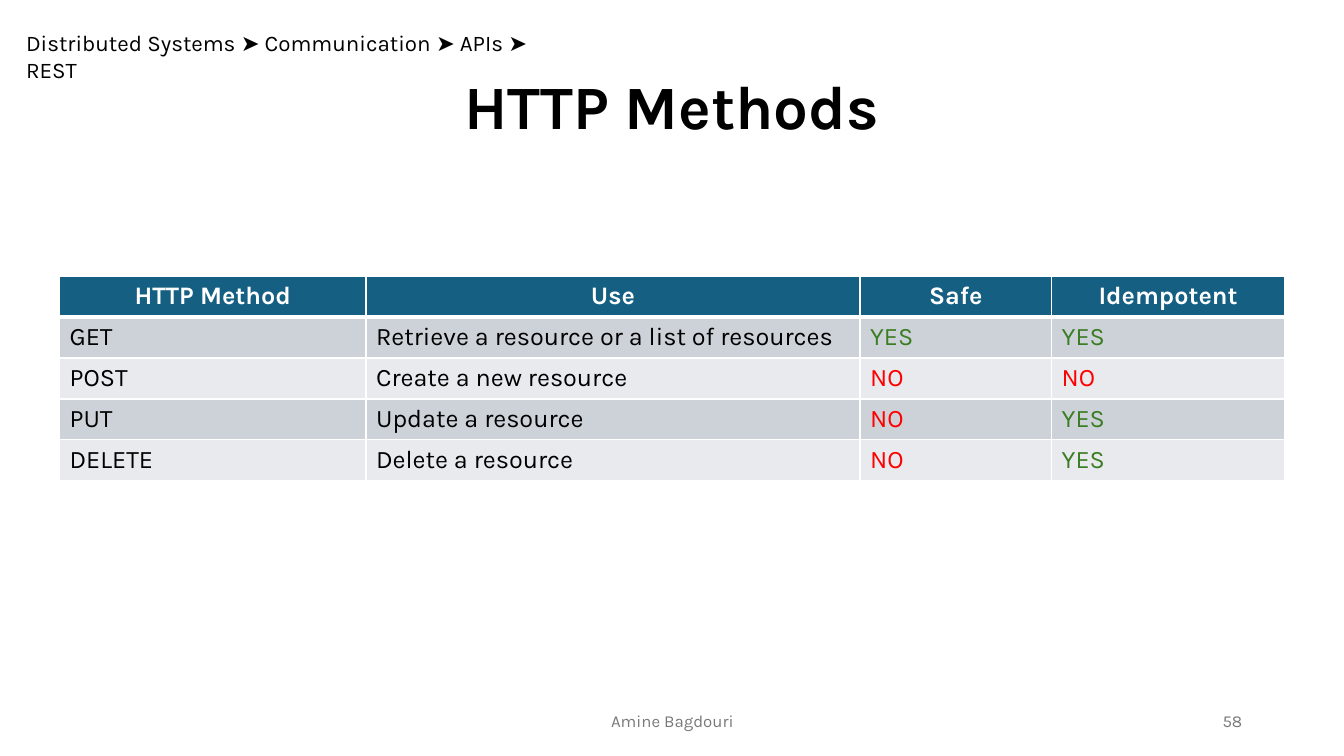
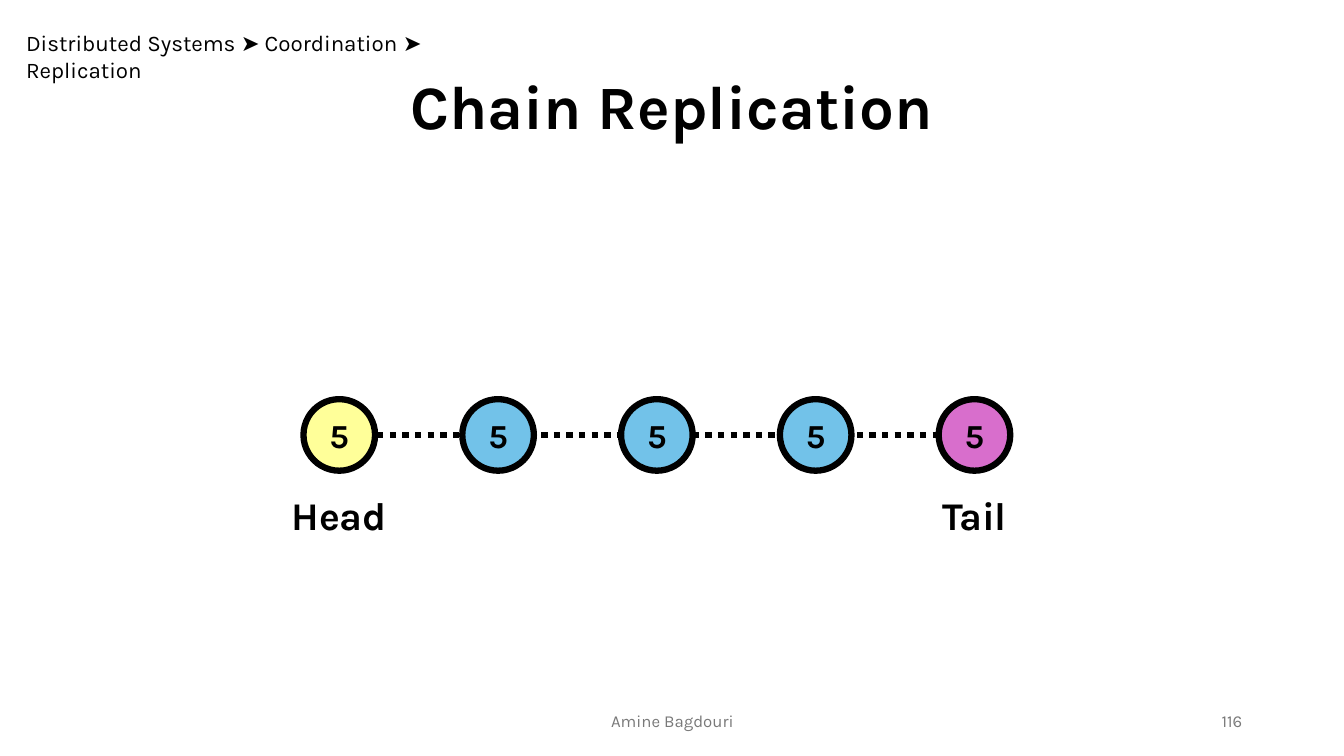
import dataclasses

import pptx
import pptx.dml.color
import pptx.enum.dml
import pptx.enum.shapes
import pptx.enum.text
import pptx.oxml.ns
import pptx.util
from lxml import etree

Inches = pptx.util.Inches
Alignment = pptx.enum.text.PP_ALIGN
Anchor = pptx.enum.text.MSO_ANCHOR


@dataclasses.dataclass(frozen=True)
class Theme:
    font: str = "Karla"
    black: str = "000000"
    white: str = "FFFFFF"
    gray: str = "797979"
    header: str = "156082"
    bands: tuple = ("CCD2D8", "E8EAED")
    yes: str = "3B7D23"
    no: str = "FF0000"
    head: str = "FFFF99"
    middle: str = "72C2E9"
    tail: str = "D86ECC"
    title_size: float = 44
    label_size: float = 28
    node_size: float = 24
    table_size: float = 18
    breadcrumb_size: float = 16
    footer_size: float = 12
    node_line: float = 4.5


THEME = Theme()
SLIDE_WIDTH, SLIDE_HEIGHT = 13.33, 7.5
TITLE_ONLY_LAYOUT = 5
AUTHOR = "Amine Bagdouri"


def rgb(color):
    return pptx.dml.color.RGBColor.from_string(color)


def write(frame, text, size, color=THEME.black, bold=False, alignment=Alignment.LEFT):
    frame.text = text
    paragraph = frame.paragraphs[0]
    paragraph.alignment = alignment
    paragraph.font.name = THEME.font
    paragraph.font.size = pptx.util.Pt(size)
    paragraph.font.bold = bold
    paragraph.font.color.rgb = rgb(color)


def add_text(slide, box, text, size, anchor=Anchor.TOP, **style):
    """Add a wrapping text box; box is left, top, width, height in inches."""
    frame = slide.shapes.add_textbox(*map(Inches, box)).text_frame
    frame.word_wrap = True
    frame.vertical_anchor = anchor
    write(frame, text, size, **style)


def add_title(slide, box, text):
    title = slide.shapes.title
    title.left, title.top, title.width, title.height = map(Inches, box)
    frame = title.text_frame
    frame.auto_size = pptx.enum.text.MSO_AUTO_SIZE.NONE
    frame.vertical_anchor = Anchor.TOP
    write(frame, text, THEME.title_size, bold=True, alignment=Alignment.CENTER)


def add_footer(slide, box, number):
    """Place the author in the middle and the slide number at the right of the box."""
    left, top, width, height = box
    author_width, number_width = 4.5, 3
    parts = (
        (left, author_width, AUTHOR, Alignment.CENTER),
        (left + width - number_width, number_width, str(number), Alignment.RIGHT),
    )
    for part_left, part_width, text, alignment in parts:
        add_text(slide, (part_left, top, part_width, height), text, THEME.footer_size,
                 anchor=Anchor.MIDDLE, color=THEME.gray, alignment=alignment)


def add_base_slide(presentation, title, breadcrumb, breadcrumb_width, number):
    slide = presentation.slides.add_slide(presentation.slide_layouts[TITLE_ONLY_LAYOUT])
    add_title(slide, (0, 0.62, SLIDE_WIDTH, 0.84), title)
    add_text(slide, (0.16, 0.24, breadcrumb_width, 0.37), breadcrumb, THEME.breadcrumb_size)
    add_footer(slide, (4.42, 6.95, 8, 0.4), number)
    return slide


def set_borders(cell, widths):
    """Draw white cell borders; widths maps the sides L, R, T, B to points."""
    properties = cell._tc.get_or_add_tcPr()
    qn = pptx.oxml.ns.qn
    for side, width in widths.items():
        line = etree.SubElement(properties, qn(f"a:ln{side}"), w=str(pptx.util.Pt(width)))
        fill = etree.SubElement(line, qn("a:solidFill"))
        etree.SubElement(fill, qn("a:srgbClr"), val=THEME.white)


def add_method_table(slide, box, column_widths, rows):
    shape = slide.shapes.add_table(len(rows), len(column_widths), *map(Inches, box))
    table = shape.table
    for column, width in zip(table.columns, column_widths):
        column.width = Inches(width)
    answer_colors = {"YES": THEME.yes, "NO": THEME.no}
    for row_index, values in enumerate(rows):
        table.rows[row_index].height = Inches(box[3] / len(rows))
        is_header = row_index == 0
        for column_index, text in enumerate(values):
            cell = table.cell(row_index, column_index)
            set_borders(cell, {"L": 1, "R": 1, "T": 3 if row_index == 1 else 1,
                               "B": 3 if is_header else 1})
            cell.fill.solid()
            if is_header:
                cell.fill.fore_color.rgb = rgb(THEME.header)
                write(cell.text_frame, text, THEME.table_size, THEME.white,
                      bold=True, alignment=Alignment.CENTER)
            else:
                cell.fill.fore_color.rgb = rgb(THEME.bands[(row_index - 1) % 2])
                write(cell.text_frame, text, THEME.table_size,
                      answer_colors.get(text, THEME.black))


def add_chain_link(slide, start, end, y):
    link = slide.shapes.add_connector(
        pptx.enum.shapes.MSO_CONNECTOR.STRAIGHT, *map(Inches, (start, y, end, y)))
    link.line.color.rgb = rgb(THEME.black)
    link.line.width = pptx.util.Pt(THEME.node_line)
    link.line.dash_style = pptx.enum.dml.MSO_LINE.ROUND_DOT
    etree.SubElement(link._element.spPr, pptx.oxml.ns.qn("a:effectLst"))


def add_node(slide, box, text, color):
    node = slide.shapes.add_shape(pptx.enum.shapes.MSO_SHAPE.OVAL, *map(Inches, box))
    node.shadow.inherit = False
    node.fill.solid()
    node.fill.fore_color.rgb = rgb(color)
    node.line.color.rgb = rgb(THEME.black)
    node.line.width = pptx.util.Pt(THEME.node_line)
    write(node.text_frame, text, THEME.node_size, bold=True, alignment=Alignment.CENTER)


def add_chain(slide, box, nodes):
    """Spread (text, colour, label) nodes over the box, with labels under it."""
    left, top, width, diameter = box
    label_width, label_height, label_gap = 1.39, 0.57, 0.16
    radius = diameter / 2
    step = (width - diameter) / (len(nodes) - 1)
    add_chain_link(slide, left + radius, left + width - radius, top + radius)
    for index, (text, color, label) in enumerate(nodes):
        node_left = left + index * step
        add_node(slide, (node_left, top, diameter, diameter), text, color)
        if label:
            label_left = node_left + radius - label_width / 2
            add_text(slide, (label_left, top + diameter + label_gap, label_width, label_height),
                     label, THEME.label_size, bold=True, alignment=Alignment.CENTER)


def add_methods_slide(presentation):
    slide = add_base_slide(presentation, "HTTP Methods",
                           "Distributed Systems ➤ Communication ➤ APIs ➤ REST", 5.6, 58)
    rows = (
        ("HTTP Method", "Use", "Safe", "Idempotent"),
        ("GET", "Retrieve a resource or a list of resources", "YES", "YES"),
        ("POST", "Create a new resource", "NO", "NO"),
        ("PUT", "Update a resource", "NO", "YES"),
        ("DELETE", "Delete a resource", "NO", "YES"),
    )
    add_method_table(slide, (0.59, 2.74, 12.15, 2.03), (3.04, 4.9, 1.9, 2.31), rows)


def add_replication_slide(presentation):
    slide = add_base_slide(presentation, "Chain Replication",
                           "Distributed Systems ➤ Coordination ➤ Replication", 5.16, 116)
    nodes = [("5", THEME.head, "Head"), *[("5", THEME.middle, None)] * 3,
             ("5", THEME.tail, "Tail")]
    add_chain(slide, (3.01, 3.96, 7.01, 0.71), nodes)


def main():
    presentation = pptx.Presentation()
    presentation.slide_width = Inches(SLIDE_WIDTH)
    presentation.slide_height = Inches(SLIDE_HEIGHT)
    add_methods_slide(presentation)
    add_replication_slide(presentation)
    presentation.save("out.pptx")


if __name__ == "__main__":
    main()
